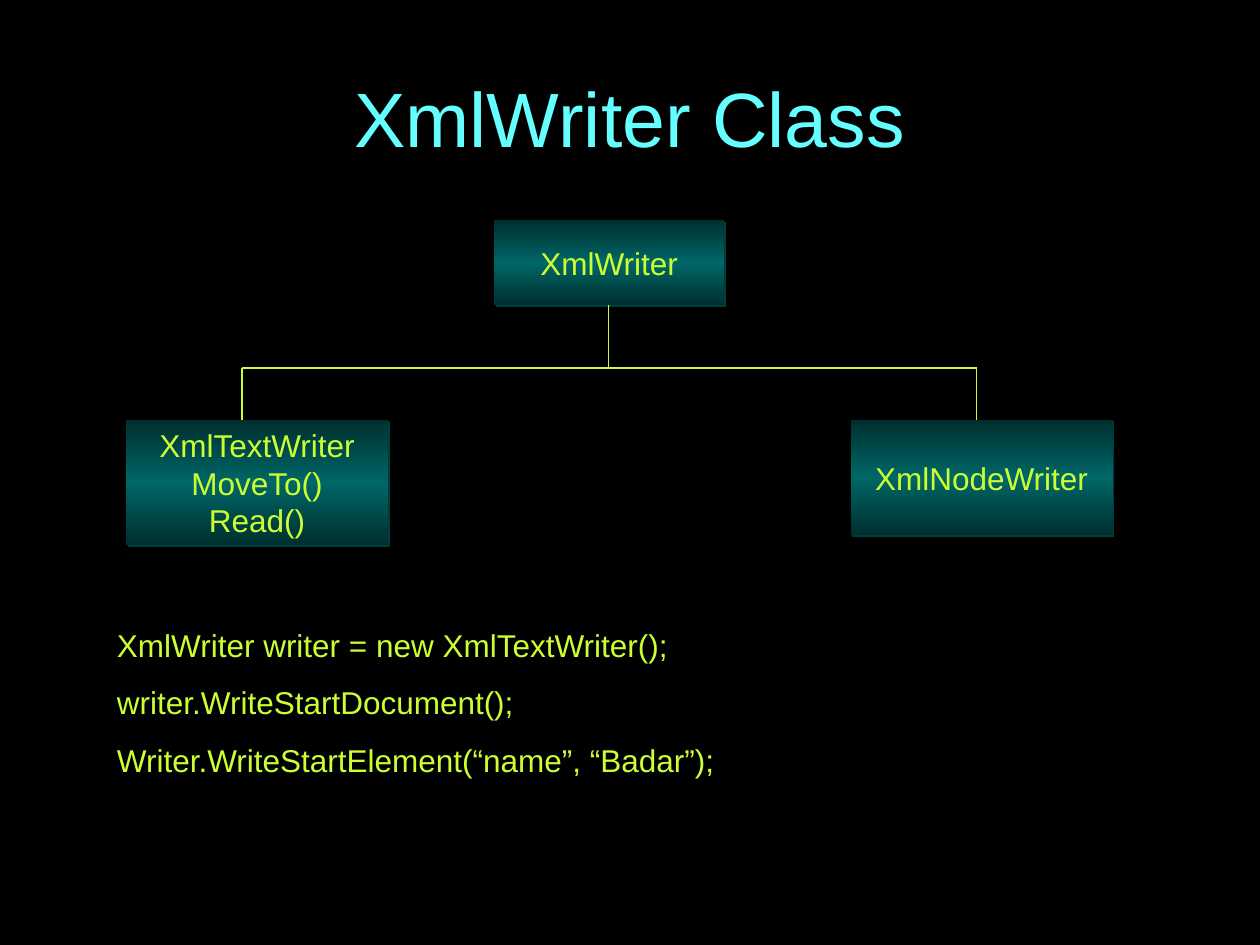
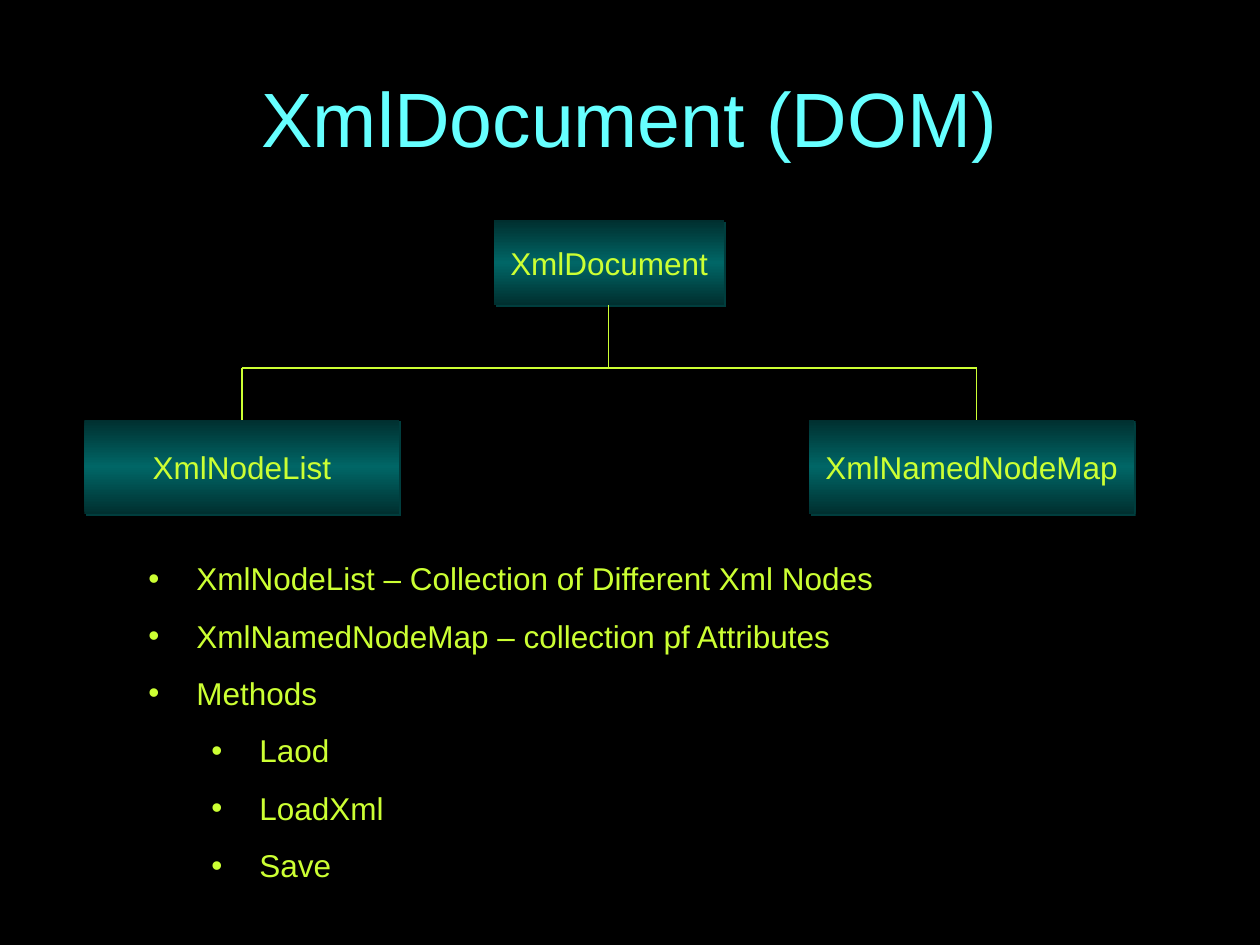
from copy import deepcopy
from dataclasses import dataclass

from lxml import etree
from pptx import Presentation
from pptx.dml.color import RGBColor
from pptx.enum.shapes import MSO_CONNECTOR, MSO_SHAPE
from pptx.enum.text import MSO_ANCHOR, PP_ALIGN
from pptx.oxml.ns import qn
from pptx.util import Inches, Pt

RECTANGLE = MSO_SHAPE.RECTANGLE
STRAIGHT = MSO_CONNECTOR.STRAIGHT
MIDDLE = MSO_ANCHOR.MIDDLE
CENTER, LEFT = PP_ALIGN.CENTER, PP_ALIGN.LEFT
BLANK_LAYOUT = 6


@dataclass(frozen=True)
class Theme:
    background: str = "000000"
    title: str = "66FFFF"
    text: str = "CCFF33"
    node_edge: str = "002F2F"
    node_middle: str = "006666"
    node_shadow: str = "003D3D"
    font: str = "Arial"
    title_size: int = 44
    text_size: int = 18
    paragraph_gap: float = 11.2
    line_width: float = 0.75


class ClassDeck:
    def __init__(self, theme):
        self.theme = theme
        self.deck = Presentation()
        self.deck.slide_width = Inches(10)
        self.deck.slide_height = Inches(7.5)
        self.page = None

    def add_page(self, title):
        self.page = self.deck.slides.add_slide(self.deck.slide_layouts[BLANK_LAYOUT])
        fill = self.page.background.fill
        fill.solid()
        fill.fore_color.rgb = RGBColor.from_string(self.theme.background)
        frame = self.add_text_frame(0.5, 0.3, 9, 1.25)
        frame.vertical_anchor = MIDDLE
        self.add_span(frame.paragraphs[0], title, self.theme.title_size,
                      self.theme.title, CENTER)

    def add_text_frame(self, left, top, width, height):
        box = self.page.shapes.add_textbox(
            Inches(left), Inches(top), Inches(width), Inches(height))
        box.text_frame.word_wrap = True
        return box.text_frame

    def add_span(self, para, text, size, color, align):
        para.alignment = align
        span = para.add_run()
        span.text = text
        span.font.name = self.theme.font
        span.font.size = Pt(size)
        span.font.color.rgb = RGBColor.from_string(color)

    def fill_lines(self, frame, lines, align):
        """Set one paragraph per line and return the paragraphs."""
        paras = [frame.paragraphs[0]]
        paras += [frame.add_paragraph() for _ in lines[1:]]
        for para, line in zip(paras, lines):
            self.add_span(para, line, self.theme.text_size, self.theme.text, align)
        return paras

    def add_body(self, left, top, width, height, lines):
        frame = self.add_text_frame(left, top, width, height)
        paras = self.fill_lines(frame, lines, LEFT)
        for para in paras[1:]:
            para.space_before = Pt(self.theme.paragraph_gap)
        return paras

    def add_bullets(self, left, top, width, height, items):
        """Add bulleted text from (level, text) pairs."""
        paras = self.add_body(left, top, width, height, [text for _, text in items])
        for para, (level, _) in zip(paras, items):
            para.level = level
            properties = para._p.get_or_add_pPr()
            properties.set("marL", str(Inches(0.38 + 0.5 * level)))
            properties.set("indent", str(Inches(-0.38)))
            color = etree.SubElement(properties, qn("a:buClr"))
            etree.SubElement(color, qn("a:srgbClr"), val=self.theme.text)
            etree.SubElement(properties, qn("a:buFont"), typeface=self.theme.font)
            etree.SubElement(properties, qn("a:buChar"), char="•")

    def add_node(self, left, top, width, height, lines):
        node = self.page.shapes.add_shape(
            RECTANGLE, Inches(left), Inches(top), Inches(width), Inches(height))
        self.shade(node)
        node.line.fill.background()
        self.cast_shadow(node)
        frame = node.text_frame
        frame.word_wrap = False
        frame.vertical_anchor = MIDDLE
        self.fill_lines(frame, lines, CENTER)

    def shade(self, node):
        """Fill a node with a vertical gradient, brightest halfway down."""
        node.fill.gradient()
        node.fill.gradient_angle = 270
        stop_list = node._element.spPr.find(".//" + qn("a:gsLst"))
        stop_list.append(deepcopy(stop_list[0]))
        edge, middle = self.theme.node_edge, self.theme.node_middle
        for index, (stop, color) in enumerate(
                zip(node.fill.gradient_stops, (edge, middle, edge))):
            stop.position = index / 2
            stop.color.rgb = RGBColor.from_string(color)

    def cast_shadow(self, node):
        node.shadow.inherit = False
        effects = node._element.spPr.find(qn("a:effectLst"))
        shadow = etree.SubElement(
            effects, qn("a:outerShdw"), blurRad="0", dist=str(Pt(1.4)),
            dir=str(45 * 60000), algn="ctr", rotWithShape="0")
        etree.SubElement(shadow, qn("a:srgbClr"), val=self.theme.node_shadow)

    def add_line(self, *ends):
        line = self.page.shapes.add_connector(STRAIGHT, *map(Inches, ends))
        line.line.color.rgb = RGBColor.from_string(self.theme.text)
        line.line.width = Pt(self.theme.line_width)
        etree.SubElement(line._element.spPr, qn("a:effectLst"))

    def add_tree(self, root, children):
        """Draw a root class over its children, given as (left, width, height, lines)."""
        root_top, root_height, bar_y, child_top = 1.75, 0.67, 2.92, 3.33
        root_x, left_x, right_x = 4.83, 1.92, 7.75
        self.add_node(3.92, root_top, 1.83, root_height, [root])
        for left, width, height, lines in children:
            self.add_node(left, child_top, width, height, lines)
        self.add_line(left_x, bar_y, right_x, bar_y)
        for x in (left_x, right_x):
            self.add_line(x, bar_y, x, child_top)
        self.add_line(root_x, root_top + root_height, root_x, bar_y)


def build_writer_page(deck):
    deck.add_page("XmlWriter Class")
    deck.add_tree("XmlWriter", [
        (1, 2.08, 1, ["XmlTextWriter", "MoveTo()", "Read()"]),
        (6.75, 2.08, 0.92, ["XmlNodeWriter"]),
    ])
    deck.add_body(0.83, 4.92, 8.42, 1.77, [
        "XmlWriter writer = new XmlTextWriter();",
        "writer.WriteStartDocument();",
        "Writer.WriteStartElement(“name”, “Badar”);",
    ])


def build_document_page(deck):
    deck.add_page("XmlDocument (DOM)")
    deck.add_tree("XmlDocument", [
        (0.67, 2.5, 0.75, ["XmlNodeList"]),
        (6.42, 2.58, 0.75, ["XmlNamedNodeMap"]),
    ])
    deck.add_bullets(1.08, 4.39, 8.25, 3.1, [
        (0, "XmlNodeList – Collection of Different Xml Nodes"),
        (0, "XmlNamedNodeMap – collection pf Attributes"),
        (0, "Methods"),
        (1, "Laod"),
        (1, "LoadXml"),
        (1, "Save"),
    ])


def main():
    deck = ClassDeck(Theme())
    build_writer_page(deck)
    build_document_page(deck)
    deck.deck.save("out.pptx")


if __name__ == "__main__":
    main()
